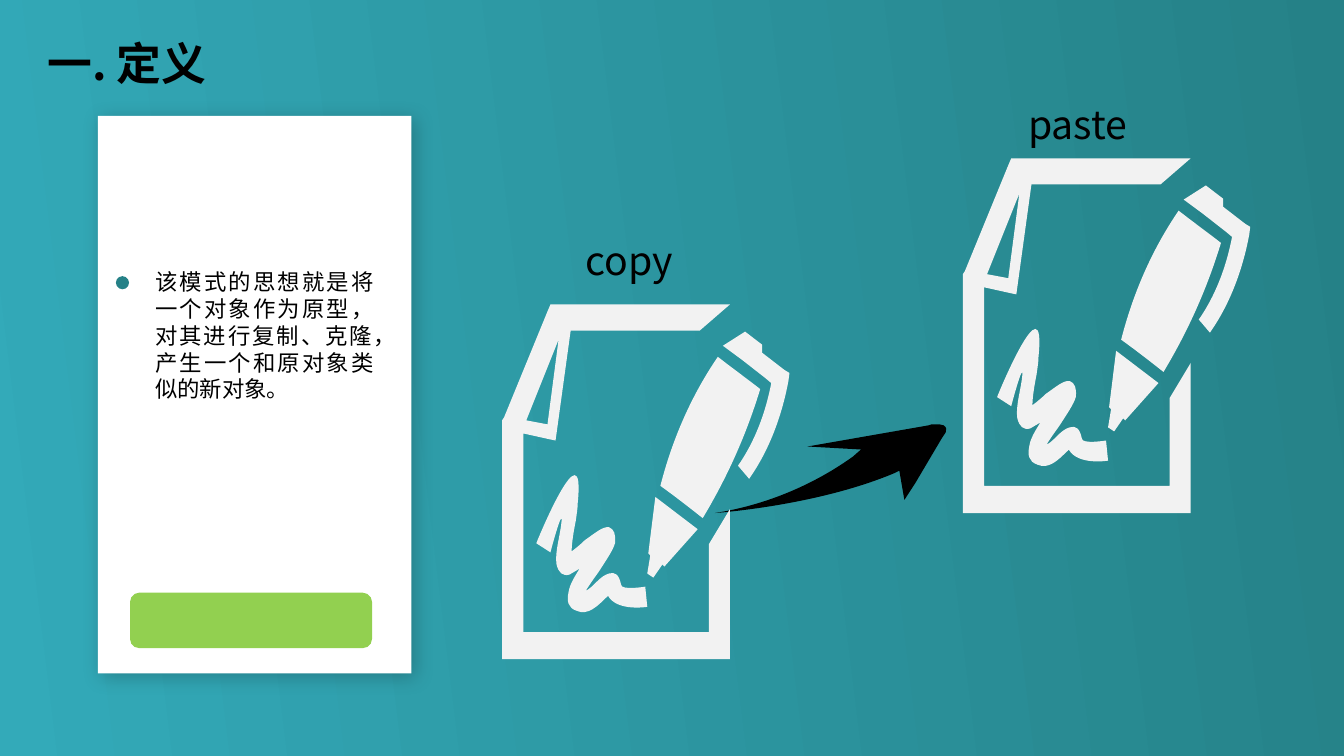
from lxml import etree
from pptx import Presentation
from pptx.dml.color import RGBColor
from pptx.enum.shapes import MSO_SHAPE as SHAPE
from pptx.enum.text import PP_ALIGN as ALIGN
from pptx.oxml import parse_xml
from pptx.oxml.ns import nsdecls, qn
from pptx.util import Inches, Pt

WIDTH, HEIGHT = 13.33, 7.5
COLORS = {
    "light_teal": "33AAB9", "dark_teal": "258187", "card": "FFFFFF",
    "green": "92D050", "ink": "000000", "icon": "F2F2F2",
}
SANS = "Noto Sans CJK SC"

# Outlines in hundredths of an inch from the top left of each drawing.
# A pair is a corner; six numbers are two control points and an end point.
SHEET = [(48, 0), (226, 0), (196, 26), (68, 26), (54, 128), (53, 135), (48, 134),
         (21, 128), (21, 325), (205, 325), (205, 238), (226, 203), (226, 352),
         (0, 352), (0, 115), (2, 112), (45, 7)]
SCRIBBLE = [(34, 237), (48, 246), (48, 245, 60, 201, 59, 215),
            (58, 228, 52, 246, 54, 258), (56, 266, 60, 270, 67, 268),
            (70, 266, 74, 264, 77, 262), (72, 270, 67, 278, 66, 285),
            (64, 294, 65, 301, 74, 304), (85, 309, 95, 299, 103, 291),
            (104, 291, 104, 290, 105, 289), (114, 305, 144, 300, 144, 300),
            (142, 280), (142, 280, 118, 284, 118, 278),
            (116, 268, 112, 265, 106, 267), (102, 268, 98, 271, 94, 275),
            (90, 279, 86, 283, 83, 284), (86, 279, 91, 272, 96, 265),
            (103, 254, 110, 244, 112, 237), (113, 228, 111, 223, 106, 221),
            (100, 220, 92, 227, 82, 234), (78, 238, 73, 242, 69, 245),
            (69, 237, 71, 225, 73, 215), (74, 208, 75, 202, 75, 197),
            (83, 117, 34, 236, 34, 237)]
FOLD = [(56, 35), (24, 115), (45, 119)]
NIB = [(152, 191), (145, 247), (147, 249), (144, 267), (150, 271), (159, 258),
       (161, 260), (194, 223)]
CLIP = [(258, 48), (258, 40), (241, 27), (219, 41), (238, 55), (261, 73), (267, 78),
        (261, 109, 250, 137, 234, 160), (245, 173), (264, 146, 277, 113, 284, 76),
        (285, 68), (280, 65)]
BARREL = [(214, 52), (188, 90, 169, 133, 157, 180), (171, 190, 185, 201, 199, 212),
          (223, 172, 242, 130, 256, 84), (242, 73, 228, 63, 214, 52)]
DOCUMENT = [SHEET, SCRIBBLE, FOLD, NIB, CLIP, BARREL]
ARROW = [[(219, 0), (222, 0, 225, 0, 227, 1), (230, 3, 230, 5, 229, 8), (225, 14),
          (199, 58), (188, 75), (183, 46), (179, 48), (106, 79, 13, 87, 0, 88),
          (58, 79, 105, 55, 137, 32), (145, 25), (92, 22), (212, 1), (215, 0)]]


def rgb(name):
    return RGBColor.from_string(COLORS[name])


def paint(s, color):
    s.shadow.inherit = False
    s.fill.solid()
    s.fill.fore_color.rgb = rgb(color)
    s.line.fill.background()


def add_block(slide, kind, box, color):
    s = slide.shapes.add_shape(kind, *map(Inches, box))
    paint(s, color)
    return s


def add_card_shadow(s):
    effects = s._element.spPr.find(qn("a:effectLst"))
    effects.append(parse_xml(
        f'<a:outerShdw {nsdecls("a")} blurRad="{Pt(14)}" dist="{Pt(3)}" '
        f'dir="{45 * 60000}" algn="tl" rotWithShape="0"><a:srgbClr val="{COLORS["ink"]}">'
        '<a:alpha val="22000"/></a:srgbClr></a:outerShdw>'))


def bend_curves(s, steps):
    """Merge the three line segments of each six-number step into one cubic curve."""
    segments = iter(list(s._element.iter(qn("a:lnTo"))))
    for step in steps:
        first = next(segments)
        if len(step) == 6:
            first.tag = qn("a:cubicBezTo")
            for _ in range(2):
                extra = next(segments)
                first.append(extra[0])
                extra.getparent().remove(extra)


def add_drawing(slide, left, top, outlines, color):
    builder = slide.shapes.build_freeform(*outlines[0][0], scale=Inches(0.01))
    for i, (start, *steps) in enumerate(outlines):
        if i:
            builder.move_to(*start)
        points = [step[k:k + 2] for step in steps for k in range(0, len(step), 2)]
        builder.add_line_segments(points, close=True)
    s = builder.convert_to_shape(Inches(left), Inches(top))
    bend_curves(s, [step for outline in outlines for step in outline[1:]])
    paint(s, color)


def add_text(slide, box, text, size, latin=SANS, bold=False):
    tf = slide.shapes.add_textbox(*map(Inches, box)).text_frame
    tf.word_wrap = True
    p = tf.paragraphs[0]
    r = p.add_run()
    r.text = text
    r.font.name, r.font.size, r.font.bold = latin, Pt(size), bold
    r.font.color.rgb = rgb("ink")
    etree.SubElement(r._r.get_or_add_rPr(), qn("a:ea")).set("typeface", SANS)
    return p


def add_document(slide, left, top, label, label_box):
    add_drawing(slide, left, top, DOCUMENT, "icon")
    add_text(slide, label_box, label, 28)


def add_background(slide):
    fill = slide.background.fill
    fill.gradient()
    fill.gradient_angle = 7
    for stop, color, position in zip(fill.gradient_stops, ("light_teal", "dark_teal"), (0, 1)):
        stop.color.rgb = rgb(color)
        stop.position = position


def add_definition_card(slide):
    add_card_shadow(add_block(slide, SHAPE.RECTANGLE, (0.97, 1.15, 3.11, 5.53), "card"))
    add_block(slide, SHAPE.ROUNDED_RECTANGLE, (1.29, 5.88, 2.4, 0.55), "green")
    p = add_text(slide, (1.44, 2.61, 2.37, 1.45),
                 "该模式的思想就是将一个对象作为原型，对其进行复制、克隆，产生一个和原对象类似的新对象。",
                 16, latin="Arial")
    p.alignment = ALIGN.JUSTIFY
    p.line_spacing = Pt(19.2)
    add_block(slide, SHAPE.OVAL, (1.15, 2.74, 0.13, 0.13), "dark_teal")


def main():
    prs = Presentation()
    prs.slide_width, prs.slide_height = Inches(WIDTH), Inches(HEIGHT)
    slide = prs.slides.add_slide(prs.slide_layouts[6])
    add_background(slide)
    add_definition_card(slide)
    add_text(slide, (0.37, 0.31, 2.98, 0.64), "一. 定义", 32, bold=True)
    add_drawing(slide, 7.09, 4.21, ARROW, "ink")
    add_document(slide, 4.98, 3.02, "copy", (5.71, 2.3, 2.53, 0.57))
    add_document(slide, 9.55, 1.57, "paste", (10.1, 0.95, 2.35, 0.57))
    prs.save("out.pptx")


if __name__ == "__main__":
    main()
